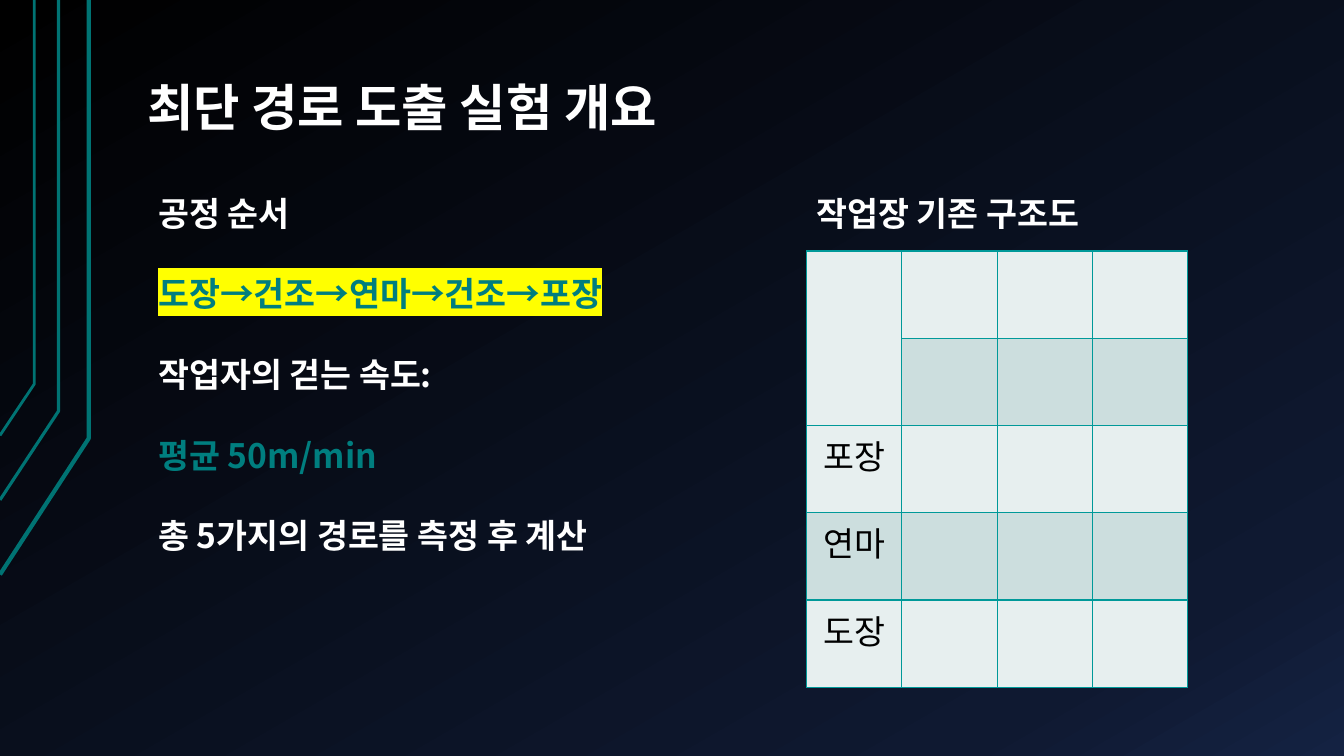
from lxml import etree
from pptx import Presentation
from pptx.dml.color import RGBColor
from pptx.enum.text import MSO_ANCHOR, MSO_AUTO_SIZE, PP_ALIGN
from pptx.oxml import parse_xml
from pptx.oxml.ns import nsdecls, qn
from pptx.util import Inches, Pt

BOTTOM, TOP = MSO_ANCHOR.BOTTOM, MSO_ANCHOR.TOP
LEFT, CENTER = PP_ALIGN.LEFT, PP_ALIGN.CENTER
NO_FIT = MSO_AUTO_SIZE.NONE

KOREAN_FONT = "Noto Sans CJK KR"
COLORS = {
    "white": "FFFFFF",
    "black": "000000",
    "teal": "007E7F",
    "trace": "007373",
    "border": "009999",
    "yellow": "FFFF00",
    "light": "E7EFEF",
    "band": "CCDEDE",
}
BACKGROUND_STOPS = [(0, "000000"), (85, "0F1931"), (100, "142242")]
TRACES = [
    ([(0, 5.7), (0.88, 4.35), (0.88, 0)], 3),
    ([(0, 4.96), (0.58, 4.08), (0.58, 0)], 2.25),
    ([(0, 4.32), (0.34, 3.81), (0.34, 0)], 2),
]
OVERVIEW = [
    ("공정 순서", {}),
    ("도장→건조→연마→건조→포장", {"color": "teal", "highlight": "yellow"}),
    ("작업자의 걷는 속도:", {}),
    ("평균 50m/min", {"color": "teal"}),
    ("총 5가지의 경로를 측정 후 계산", {}),
]
STATIONS = ["", "", "포장", "연마", "도장"]
COLUMN_COUNT = 4


def rgb(name):
    return RGBColor.from_string(COLORS[name])


def solid_xml(tag, color):
    return f'<a:{tag} {nsdecls("a")}><a:srgbClr val="{color}"/></a:{tag}>'


def set_text(p, text, size=24, color="white", bold=True, font=KOREAN_FONT,
             highlight=None, align=LEFT, after=0, spacing=1.0):
    p.alignment = align
    p.space_before = Pt(0)
    p.space_after = Pt(after)
    p.line_spacing = spacing
    r = p.add_run()
    r.text = text
    r.font.size = Pt(size)
    r.font.bold = bold
    r.font.color.rgb = rgb(color)
    r.font.name = font
    latin = r.font._element.find(qn("a:latin"))
    ea = etree.Element(qn("a:ea"), typeface=KOREAN_FONT)
    latin.addnext(ea)
    if highlight:
        latin.addprevious(parse_xml(solid_xml("highlight", COLORS[highlight])))


def set_frame(sp, left, top, width, height, anchor=TOP):
    sp.left, sp.top = Inches(left), Inches(top)
    sp.width, sp.height = Inches(width), Inches(height)
    tf = sp.text_frame
    tf.word_wrap = True
    tf.auto_size = NO_FIT
    tf.vertical_anchor = anchor
    return tf


def set_background(s):
    fill = s.background.fill
    fill.gradient()
    fill.gradient_angle = 300
    stops = s.background._cSld.find(".//" + qn("a:gsLst"))
    stops.clear()
    for position, color in BACKGROUND_STOPS:
        stop = etree.SubElement(stops, qn("a:gs"), pos=str(position * 1000))
        etree.SubElement(stop, qn("a:srgbClr"), val=color)


def add_trace(s, points, width):
    start, *rest = [(Inches(x), Inches(y)) for x, y in points]
    builder = s.shapes.build_freeform(*start)
    builder.add_line_segments(rest, close=False)
    sp = builder.convert_to_shape()
    sp.shadow.inherit = False
    sp.fill.background()
    sp.line.color.rgb = rgb("trace")
    sp.line.width = Pt(width)


def add_title(s, text):
    tf = set_frame(s.shapes.title, 1.33, 0.09, 11.33, 1.34, BOTTOM)
    tf.margin_left = tf.margin_right = Inches(0.13)
    tf.margin_top = tf.margin_bottom = Inches(0.07)
    set_text(tf.paragraphs[0], text, size=36, spacing=0.9)


def add_overview(s):
    tf = set_frame(s.placeholders[1], 1.47, 1.86, 5.1, 5.08)
    for i, (text, style) in enumerate(OVERVIEW):
        p = tf.paragraphs[0] if i == 0 else tf.add_paragraph()
        set_text(p, text, after=28.8, **style)
        pPr = p._p.get_or_add_pPr()
        pPr.set("marL", "0")
        pPr.set("indent", "0")
        etree.SubElement(pPr, qn("a:buNone"))


def add_heading(s, text):
    sp = s.shapes.add_textbox(0, 0, 0, 0)
    tf = set_frame(sp, 8, 1.86, 3.94, 0.91)
    set_text(tf.paragraphs[0], text)


def style_cell(cell, fill):
    cell.fill.solid()
    cell.fill.fore_color.rgb = rgb(fill)
    tcPr = cell._tc.get_or_add_tcPr()
    for i, side in enumerate(("lnL", "lnR", "lnT", "lnB")):
        ln = etree.Element(qn(f"a:{side}"), w=str(Pt(1)))
        ln.append(parse_xml(solid_xml("solidFill", COLORS["border"])))
        tcPr.insert(i, ln)


def add_floor_plan(s):
    frame = s.shapes.add_table(len(STATIONS), COLUMN_COUNT, Inches(8),
                               Inches(2.49), Inches(3.78), Inches(4.33))
    table = frame.table
    table.first_row = False
    for row, station in enumerate(STATIONS):
        for column in range(COLUMN_COUNT):
            style_cell(table.cell(row, column), "band" if row % 2 else "light")
        if station:
            set_text(table.cell(row, 0).text_frame.paragraphs[0], station,
                     color="black", bold=False, font="Calibri", align=CENTER)
    table.cell(0, 0).merge(table.cell(1, 0))


def main():
    prs = Presentation()
    prs.slide_width, prs.slide_height = Inches(13.33), Inches(7.5)
    s = prs.slides.add_slide(prs.slide_layouts[1])
    set_background(s)
    for points, width in TRACES:
        add_trace(s, points, width)
    add_title(s, "최단 경로 도출 실험 개요")
    add_overview(s)
    add_floor_plan(s)
    add_heading(s, "작업장 기존 구조도")
    prs.save("out.pptx")


if __name__ == "__main__":
    main()
